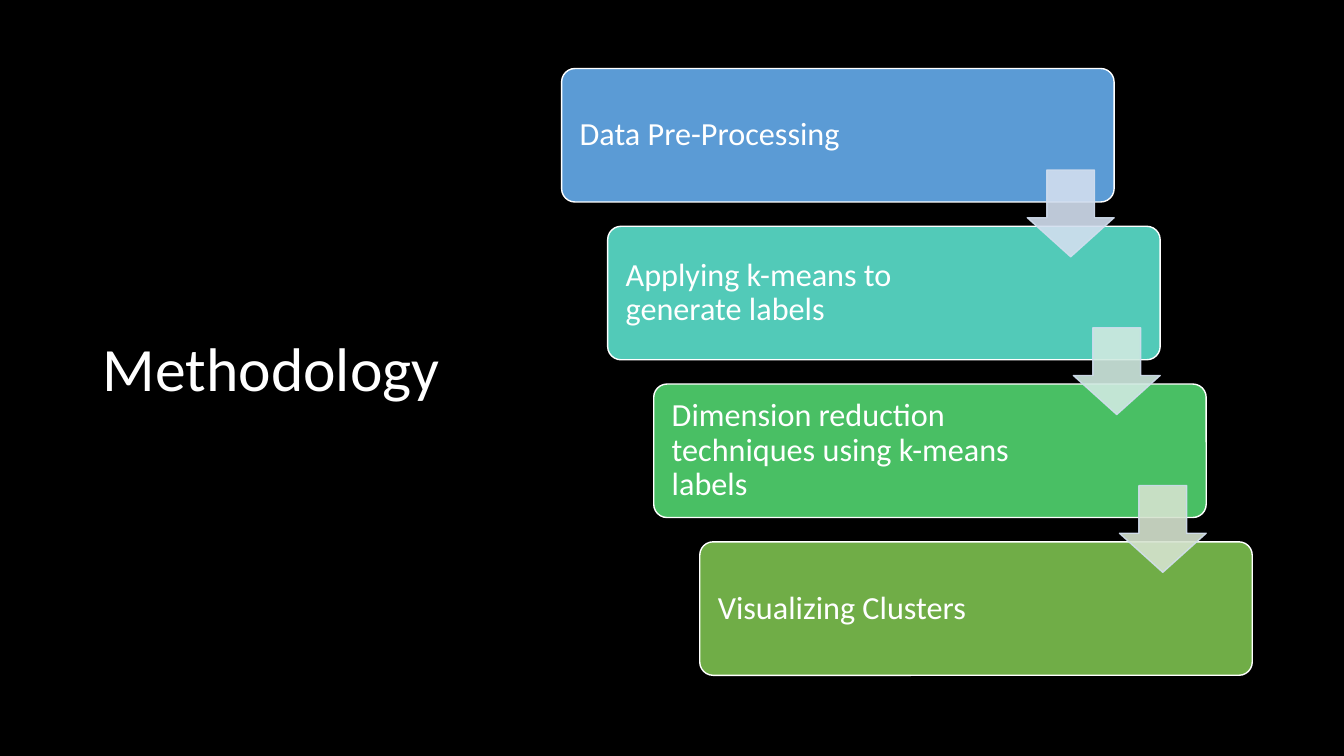
import pptx
import pptx.util
import pptx.dml.color
import pptx.enum.shapes
import pptx.enum.text
import pptx.oxml.ns
import lxml.etree

SLIDE_WIDTH, SLIDE_HEIGHT = 13.33, 7.5
FONT = "Calibri"
COLORS = {
    "background": "000000",
    "text": "FFFFFF",
    "outline": "FFFFFF",
    "arrow_outline": "D2DEEF",
}
# Step label, step fill, fill of the arrow leading to the next step
STEPS = [
    ("Data Pre-Processing", "5B9BD5", "D2DEEF"),
    ("Applying k-means to generate labels", "52CAB8", "D0EAE1"),
    ("Dimension reduction techniques using k-means labels", "49BF64", "D5E3CF"),
    ("Visualizing Clusters", "70AD47", None),
]


def rgb(color):
    return pptx.dml.color.RGBColor.from_string(color)


def inches(*lengths):
    return [pptx.util.Inches(length) for length in lengths]


def write_text(shape, text, size, insets, color=COLORS["text"]):
    frame = shape.text_frame
    frame.word_wrap = True
    frame.vertical_anchor = pptx.enum.text.MSO_ANCHOR.MIDDLE
    (frame.margin_left, frame.margin_top,
     frame.margin_right, frame.margin_bottom) = inches(*insets)
    paragraph = frame.paragraphs[0]
    paragraph.alignment = pptx.enum.text.PP_ALIGN.LEFT
    paragraph.line_spacing = 0.9
    run = paragraph.add_run()
    run.text = text
    run.font.name = FONT
    run.font.size = pptx.util.Pt(size)
    run.font.color.rgb = rgb(color)


def set_opacity(color_format_parent, percent):
    for color in color_format_parent.iter(pptx.oxml.ns.qn("a:srgbClr")):
        alpha = lxml.etree.SubElement(color, pptx.oxml.ns.qn("a:alpha"))
        alpha.set("val", str(percent * 1000))


def add_block(slide, kind, box, adjustments, fill, outline):
    shape = slide.shapes.add_shape(kind, *inches(*box))
    shape.shadow.inherit = False
    for index, value in enumerate(adjustments):
        shape.adjustments[index] = value
    shape.fill.solid()
    shape.fill.fore_color.rgb = rgb(fill)
    shape.line.color.rgb = rgb(outline)
    shape.line.width = pptx.util.Pt(1)
    return shape


def add_title(slide, box, text):
    title = slide.shapes.add_textbox(*inches(*box))
    write_text(title, text, size=44, insets=(0.1, 0.05, 0.1, 0.05))


def add_staircase(slide, box, steps):
    left, top, width, height = box
    step_width, step_height = 0.8 * width, 0.22 * height
    shift_x = (width - step_width) / (len(steps) - 1)
    shift_y = (height - step_height) / (len(steps) - 1)
    arrow_size = 0.65 * step_height
    corners = [(left + i * shift_x, top + i * shift_y) for i in range(len(steps))]

    # Steps, with room kept free for the arrows on the right
    for (x, y), (label, fill, _) in zip(corners, steps):
        step = add_block(slide, pptx.enum.shapes.MSO_SHAPE.ROUNDED_RECTANGLE,
                         (x, y, step_width, step_height), [0.1],
                         fill, COLORS["outline"])
        write_text(step, label, size=23, insets=(0.14, 0.14, 1.46, 0.14))

    # Arrows, flush with the right edge of the step they leave
    for (x, y), (_, _, fill) in zip(corners[:-1], steps):
        arrow = add_block(slide, pptx.enum.shapes.MSO_SHAPE.DOWN_ARROW,
                          (x + step_width - arrow_size, y + 0.76 * step_height,
                           arrow_size, arrow_size), [0.55, 0.45],
                          fill, COLORS["arrow_outline"])
        set_opacity(arrow.element.spPr, 90)


def main():
    presentation = pptx.Presentation()
    presentation.slide_width, presentation.slide_height = inches(
        SLIDE_WIDTH, SLIDE_HEIGHT)
    slide = presentation.slides.add_slide(presentation.slide_layouts[6])
    slide.background.fill.solid()
    slide.background.fill.fore_color.rgb = rgb(COLORS["background"])

    # Both regions share the same vertical band
    band_top, band_height = 0.68, 6.02
    add_title(slide, (0.92, band_top, 3.69, band_height), "Methodology")
    add_staircase(slide, (5.57, band_top, 6.85, band_height), STEPS)
    presentation.save("out.pptx")


if __name__ == "__main__":
    main()
